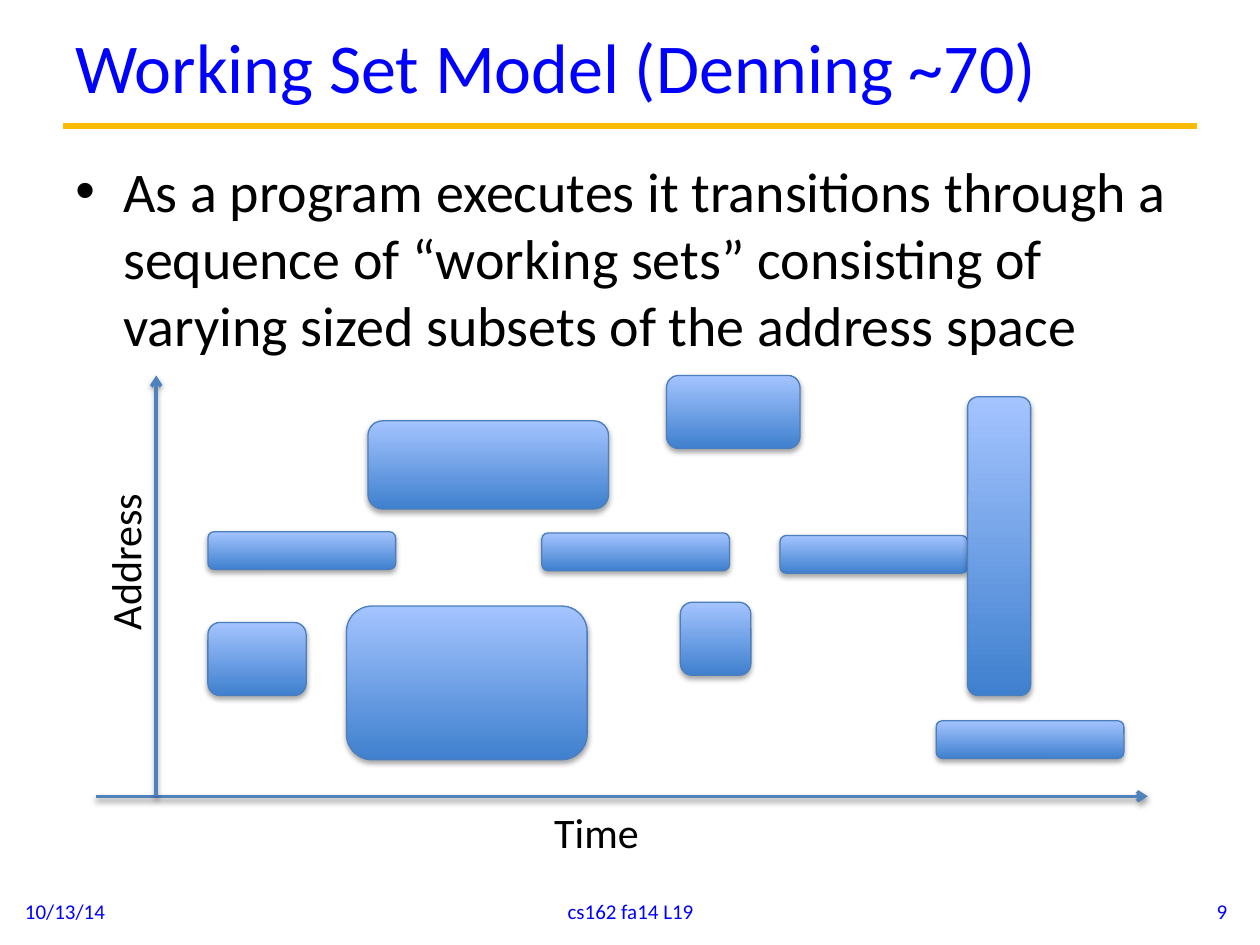
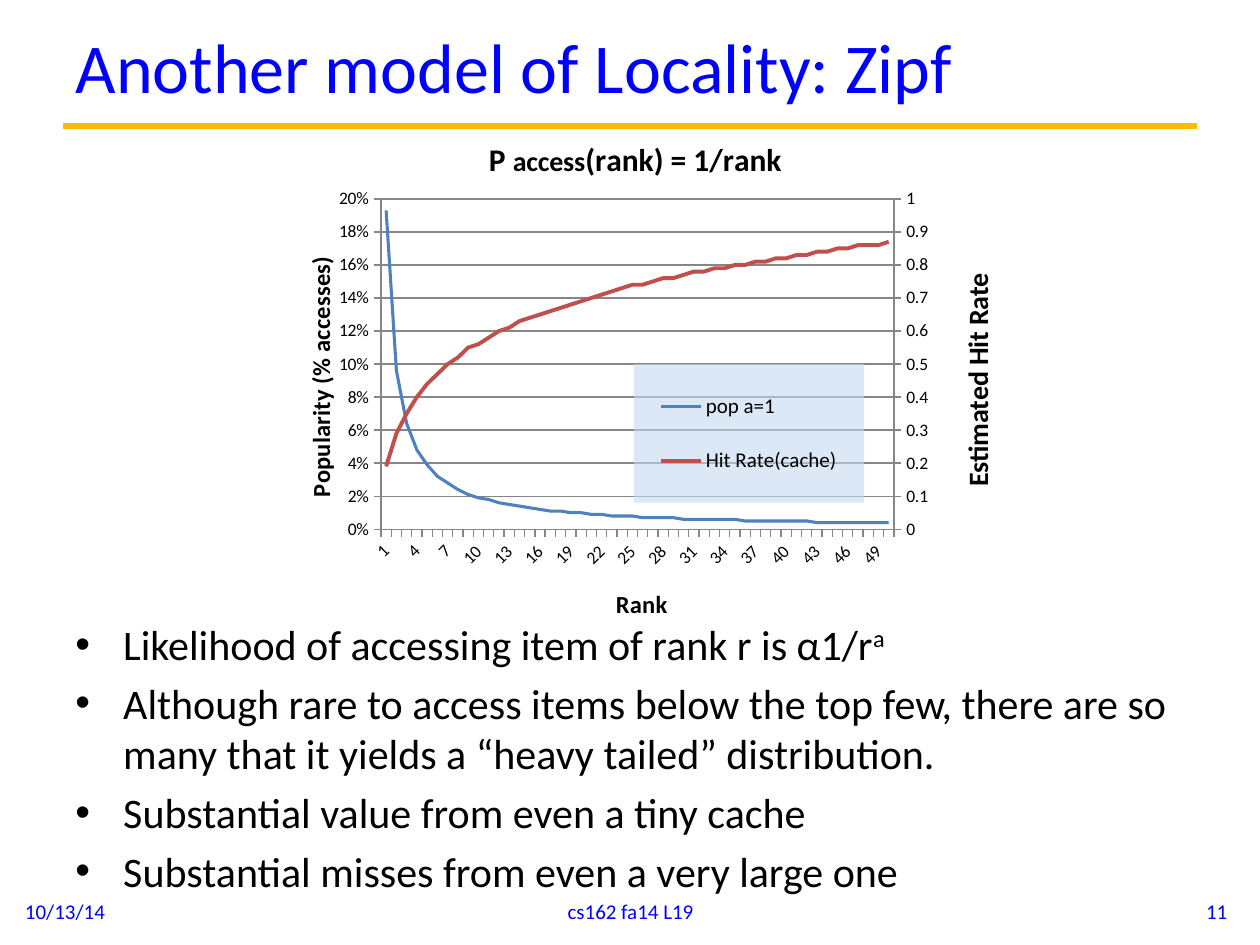
from copy import deepcopy
from itertools import accumulate
from typing import NamedTuple

from lxml import etree
from pptx import Presentation
from pptx.chart.axis import CategoryAxis, ValueAxis
from pptx.chart.data import CategoryChartData
from pptx.dml.color import RGBColor
from pptx.enum.chart import XL_CHART_TYPE, XL_LEGEND_POSITION, XL_MARKER_STYLE, XL_TICK_MARK
from pptx.enum.shapes import MSO_CONNECTOR, MSO_SHAPE
from pptx.enum.text import MSO_ANCHOR, PP_ALIGN
from pptx.oxml.ns import qn
from pptx.util import Inches, Pt

LINE_CHART = XL_CHART_TYPE.LINE
LEGEND_RIGHT = XL_LEGEND_POSITION.RIGHT
NO_MARKER = XL_MARKER_STYLE.NONE
TICK_OUTSIDE = XL_TICK_MARK.OUTSIDE
STRAIGHT = MSO_CONNECTOR.STRAIGHT
ROUNDED = MSO_SHAPE.ROUNDED_RECTANGLE
TOP, MIDDLE = MSO_ANCHOR.TOP, MSO_ANCHOR.MIDDLE
LEFT, CENTER, RIGHT = PP_ALIGN.LEFT, PP_ALIGN.CENTER, PP_ALIGN.RIGHT

FONT = "Calibri"
COLORS = {
    "title": "0000FF",
    "text": "000000",
    "rule": "FBBA03",
    "axis": "4F81BD",
    "set_bottom": "3F80CE",
    "set_top": "A4C4FF",
    "set_line": "4B7EBC",
    "grid": "868686",
    "popularity": "4F81BD",
    "hit_rate": "C0504D",
    "legend": "C6D9F1",
}


class Box(NamedTuple):
    left: float
    top: float
    width: float
    height: float

    def lengths(self) -> list:
        return [Inches(value) for value in self]


class Footer(NamedTuple):
    box: Box
    align: PP_ALIGN


class Curve(NamedTuple):
    name: str
    values: list
    color: str
    width: float


TITLE_BOX = Box(0.5, 0.04, 9, 0.96)
FOOTERS = [
    Footer(Box(0.1, 7.03, 2.33, 0.4), LEFT),
    Footer(Box(3.42, 7.03, 3.17, 0.4), CENTER),
    Footer(Box(7.51, 7.03, 2.33, 0.4), RIGHT),
]
WORKING_SETS = [
    Box(1.65, 4.94, 0.78, 0.58),
    Box(1.65, 4.22, 1.49, 0.3),
    Box(2.75, 4.81, 1.91, 1.22),
    Box(2.92, 3.34, 1.91, 0.7),
    Box(4.3, 4.23, 1.49, 0.3),
    Box(5.4, 4.78, 0.56, 0.58),
    Box(5.29, 2.98, 1.06, 0.58),
    Box(6.19, 4.25, 1.49, 0.3),
    Box(7.68, 3.15, 0.5, 2.37),
    Box(7.43, 5.72, 1.49, 0.3),
]

# Zipf popularity falls as 1/rank; the hit rate is its running sum
RANKS = range(1, 51)
TOP_SHARE = 0.1927
SHARES = [TOP_SHARE / rank for rank in RANKS]
CURVES = [
    Curve("pop a=1", [round(share, 3) for share in SHARES], "popularity", 1.75),
    Curve("Hit Rate(cache)", [round(total, 2) for total in accumulate(SHARES)], "hit_rate", 2.25),
]


def rgb(name: str) -> RGBColor:
    return RGBColor.from_string(COLORS[name])


def add_child(parent, tag: str, **attributes: str):
    return etree.SubElement(parent, qn(tag), attributes)


def style_font(font, size: float, color: str = "text", bold: bool = False) -> None:
    font.name, font.size, font.bold = FONT, Pt(size), bold
    font.color.rgb = rgb(color)


# Shared drawing
def add_text(page, box: Box, text: str, size: float, color: str = "text",
             align: PP_ALIGN = LEFT, anchor: MSO_ANCHOR = TOP, wrap: bool = True):
    shape = page.shapes.add_textbox(*box.lengths())
    frame = shape.text_frame
    frame.text = text
    frame.word_wrap = wrap
    frame.vertical_anchor = anchor
    for para in frame.paragraphs:
        para.alignment = align
        style_font(para.runs[0].font, size, color)
    return shape


def add_bullets(page, box: Box, lines: list[str], size: float):
    frame = add_text(page, box, "\n".join(lines), size).text_frame
    for para in frame.paragraphs:
        para.space_before = Pt(size * 0.2)
        properties = para._p.get_or_add_pPr()
        properties.set("marL", str(Inches(0.38)))
        properties.set("indent", str(-Inches(0.38)))
        add_child(properties, "a:buFont", typeface="Arial")
        add_child(properties, "a:buChar", char="•")
    return frame


def set_shadow(shape, alpha: int = 0, distance: float = 0) -> None:
    """Give the shape a soft shadow below it, or none when alpha is 0."""
    effects = add_child(shape.element.spPr, "a:effectLst")
    if alpha:
        shadow = add_child(effects, "a:outerShdw", blurRad=str(Pt(3.1)), dist=str(Pt(distance)),
                           dir="5400000", rotWithShape="0")
        color = add_child(shadow, "a:srgbClr", val=COLORS["text"])
        add_child(color, "a:alpha", val=str(alpha * 1000))


def add_line(page, start: tuple, end: tuple, color: str, width: float):
    line = page.shapes.add_connector(STRAIGHT, *map(Inches, (*start, *end)))
    line.line.color.rgb = rgb(color)
    line.line.width = Pt(width)
    return line


def add_page(deck, title: str, number: str):
    page = deck.slides.add_slide(deck.slide_layouts[5])
    set_shadow(add_line(page, (0.5, 1), (9.5, 1), "rule", 3.75))
    heading = page.shapes.title
    heading.left, heading.top, heading.width, heading.height = TITLE_BOX.lengths()
    frame = heading.text_frame
    frame.text = title
    frame.vertical_anchor = MIDDLE
    frame.paragraphs[0].alignment = LEFT
    style_font(frame.paragraphs[0].runs[0].font, 40, "title")
    for footer, text in zip(FOOTERS, ("10/13/14", "cs162 fa14 L19", number)):
        add_text(page, footer.box, text, 12, "title", footer.align, MIDDLE)
    return page


# Working set diagram
def add_axis_arrow(page, start: tuple, end: tuple) -> None:
    arrow = add_line(page, start, end, "axis", 2)
    add_child(arrow.element.spPr.find(qn("a:ln")), "a:tailEnd", type="arrow")
    set_shadow(arrow, 38, 1.6)


def add_working_set(page, box: Box) -> None:
    shape = page.shapes.add_shape(ROUNDED, *box.lengths())
    shape.fill.gradient()
    shape.fill.gradient_angle = 90
    for stop, color in zip(shape.fill.gradient_stops, ("set_bottom", "set_top")):
        stop.color.rgb = rgb(color)
    shape.line.color.rgb = rgb("set_line")
    shape.line.width = Pt(0.75)
    set_shadow(shape, 35, 1.8)


def build_working_set_page(deck) -> None:
    page = add_page(deck, "Working Set Model (Denning ~70)", "9")
    add_bullets(page, Box(0.5, 1.19, 9, 1.79), [
        "As a program executes it transitions through a sequence of “working sets” "
        "consisting of varying sized subsets of the address space",
    ], 32)
    add_axis_arrow(page, (0.76, 6.32), (9.11, 6.32))
    add_axis_arrow(page, (1.24, 6.32), (1.24, 2.98))
    add_text(page, Box(4.3, 6.35, 0.88, 0.5), "Time", 24, wrap=False)
    address = add_text(page, Box(0.34, 4.2, 1.3, 0.5), "Address", 24, wrap=False)
    address.rotation = 270
    for box in WORKING_SETS:
        add_working_set(page, box)


# Zipf chart
def place_part(part, index: int, **fractions: float) -> None:
    """Fix a chart part at fractions of the chart's size."""
    for old in part.findall(qn("c:layout")):
        part.remove(old)
    layout = etree.Element(qn("c:layout"))
    part.insert(index, layout)
    manual = add_child(layout, "c:manualLayout")
    if index == 0:
        add_child(manual, "c:layoutTarget", val="inner")
    for side in ("x", "y"):
        add_child(manual, f"c:{side}Mode", val="edge")
    for side, value in fractions.items():
        add_child(manual, f"c:{side}", val=str(value))


def title_axis(axis, text: str, size: float, x: float, y: float, upright: bool = False) -> None:
    frame = axis.axis_title.text_frame
    frame.text = text
    style_font(frame.paragraphs[0].runs[0].font, size, bold=True)
    if not upright:
        frame._txBody.find(qn("a:bodyPr")).set("rot", "-5400000")
    place_part(axis.axis_title._element, 1, x=x, y=y)


def style_axis(axis) -> None:
    axis.major_tick_mark = TICK_OUTSIDE
    axis.format.line.color.rgb = rgb("grid")
    style_font(axis.tick_labels.font, 10)


def split_to_right_axis(chart) -> ValueAxis:
    """Move the second curve to its own axes and return its value axis."""
    first = chart.plots[0]._element
    second = deepcopy(first)
    first.remove(first.findall(qn("c:ser"))[1])
    second.remove(second.find(qn("c:ser")))
    first.addnext(second)
    ranks, rates = (deepcopy(axis._element) for axis in (chart.category_axis, chart.value_axis))
    ids = ("50010", "50020")
    for reference, value in zip(second.findall(qn("c:axId")), ids):
        reference.set("val", value)
    for axis, own, other in ((ranks, *ids), (rates, *ids[::-1])):
        axis.find(qn("c:axId")).set("val", own)
        axis.find(qn("c:crossAx")).set("val", other)
        first.getparent().append(axis)
    CategoryAxis(ranks).visible = False
    rates.find(qn("c:axPos")).set("val", "r")
    rates.find(qn("c:crosses")).set("val", "max")
    return ValueAxis(rates)


def style_legend(chart) -> None:
    chart.has_legend = True
    legend = chart.legend
    legend.position = LEGEND_RIGHT
    legend.include_in_layout = True
    style_font(legend.font, 12)
    place_part(legend._element, 1, x=0.5, y=0.48, w=0.31, h=0.26)
    panel = etree.Element(qn("c:spPr"))
    legend._element.find(qn("c:txPr")).addprevious(panel)
    color = add_child(add_child(panel, "a:solidFill"), "a:srgbClr", val=COLORS["legend"])
    add_child(color, "a:alpha", val="60000")


def add_zipf_chart(page, box: Box) -> None:
    data = CategoryChartData()
    data.categories = [str(rank) for rank in RANKS]
    for curve in CURVES:
        data.add_series(curve.name, curve.values)
    chart = page.shapes.add_chart(LINE_CHART, *box.lengths(), data).chart
    style_font(chart.font, 10)
    chart.plots[0].vary_by_categories = False
    for series, curve in zip(chart.plots[0].series, CURVES):
        series.smooth = False
        series.marker.style = NO_MARKER
        series.format.line.color.rgb = rgb(curve.color)
        series.format.line.width = Pt(curve.width)

    # Title with a smaller middle part
    para = chart.chart_title.text_frame.paragraphs[0]
    for text, size in (("P ", 18), ("access", 16), ("(rank) = 1/rank", 18)):
        span = para.add_run()
        span.text = text
        style_font(span.font, size, bold=True)
    place_part(chart.chart_title._element, 1, x=0.3, y=0.05)

    # Axes: the right one starts as a copy of the styled left one
    ranks, shares = chart.category_axis, chart.value_axis
    for axis in (ranks, shares):
        style_axis(axis)
    ranks._element.find(qn("c:txPr")).find(qn("a:bodyPr")).set("rot", "-2700000")
    shares.minimum_scale, shares.maximum_scale, shares.major_unit = 0, 0.2, 0.02
    shares.tick_labels.number_format = "0%"
    shares.tick_labels.number_format_is_linked = False
    shares.major_gridlines.format.line.color.rgb = rgb("grid")
    rates = split_to_right_axis(chart)
    rates.has_major_gridlines = False
    rates.maximum_scale, rates.major_unit = 1, 0.1
    rates.tick_labels.number_format = "General"
    title_axis(ranks, "Rank", 14, 0.47, 0.89, upright=True)
    title_axis(shares, "Popularity (% accesses)", 14, 0.05, 0.27)
    title_axis(rates, "Estimated Hit Rate", 16, 0.93, 0.3)

    style_legend(chart)
    place_part(chart._chartSpace.chart.plotArea, 0, x=0.16, y=0.17, w=0.69, h=0.62)


def build_zipf_page(deck) -> None:
    page = add_page(deck, "Another model of Locality: Zipf", "11")
    frame = add_bullets(page, Box(0.5, 4.86, 9, 1.86), [
        "Likelihood of accessing item of rank r is α1/r",
        "Although rare to access items below the top few, there are so many that it "
        "yields a “heavy tailed” distribution.",
        "Substantial value from even a tiny cache",
        "Substantial misses from even a very large one",
    ], 24)
    exponent = frame.paragraphs[0].add_run()
    exponent.text = "a"
    style_font(exponent.font, 24)
    exponent._r.get_or_add_rPr().set("baseline", "30000")
    add_zipf_chart(page, Box(2.08, 0.86, 5.9, 4.23))


def main() -> None:
    deck = Presentation()
    deck.slide_width, deck.slide_height = Inches(10), Inches(7.5)
    build_working_set_page(deck)
    build_zipf_page(deck)
    deck.save("out.pptx")


if __name__ == "__main__":
    main()
